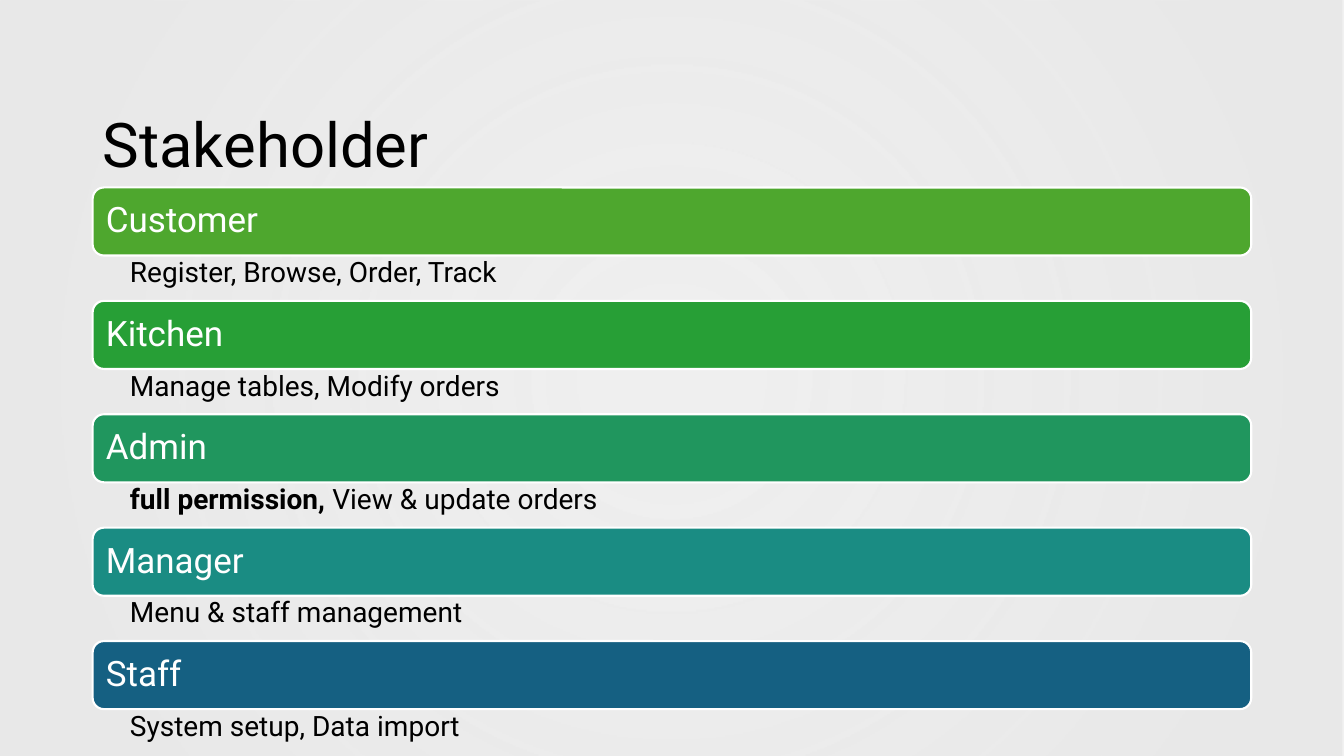
from lxml.etree import SubElement
from pptx import Presentation
from pptx.dml.color import RGBColor
from pptx.enum.shapes import MSO_SHAPE
from pptx.enum.text import MSO_ANCHOR, MSO_AUTO_SIZE, PP_ALIGN
from pptx.oxml.ns import qn
from pptx.util import Inches, Pt

WIDE, HIGH = Inches(13.33), Inches(7.5)
COL = WIDE / 29
FONT = "Roboto"
ROLES = [
    ("Customer", "4EA72E", [("Register, Browse, Order, Track", False)]),
    ("Kitchen", "279F36", [("Manage tables, Modify orders", False)]),
    ("Admin", "20965E", [("full permission, ", True),
                         ("View & update orders", False)]),
    ("Manager", "1A8C83", [("Menu & staff management", False)]),
    ("Staff", "156082", [("System setup, Data import", False)]),
]


def tint(target, code):
    target.rgb = RGBColor.from_string(code)


def paint(fill, code):
    fill.solid()
    tint(fill.fore_color, code)


def inset(frame, left, top, right, low):
    frame.margin_left, frame.margin_top = Inches(left), Inches(top)
    frame.margin_right, frame.margin_bottom = Inches(right), Inches(low)


def style(para, size, code):
    para.alignment = PP_ALIGN.LEFT
    para.line_spacing = 0.9
    para.font.name = FONT
    para.font.size = Pt(size)
    tint(para.font.color, code)


def add_back(slide, box):
    shape = slide.shapes.add_shape(MSO_SHAPE.RECTANGLE, *box)
    shape.shadow.inherit = False
    shape.line.fill.background()
    shape.fill.gradient()
    grad = shape._element.spPr.find(qn("a:gradFill"))
    for child in list(grad):
        grad.remove(child)
    stops = SubElement(grad, qn("a:gsLst"))
    for place, alpha in [(10, 68), (85, 97)]:
        stop = SubElement(stops, qn("a:gs"), pos=str(place * 1000))
        color = SubElement(stop, qn("a:srgbClr"), val="E8E8E8")
        SubElement(color, qn("a:alpha"), val=str(alpha * 1000))
    route = SubElement(grad, qn("a:path"))
    route.set("path", "circle")
    SubElement(route, qn("a:fillToRect"),
               l="50000", t="50000", r="50000", b="50000")


def add_title(slide, box, text):
    title = slide.shapes.title
    title.left, title.top, title.width, title.height = map(int, box)
    frame = title.text_frame
    frame.text = text
    frame.auto_size = MSO_AUTO_SIZE.NONE
    frame.vertical_anchor = MSO_ANCHOR.MIDDLE
    style(frame.paragraphs[0], 44, "000000")


def add_bar(group, box, name, code):
    bar = group.shapes.add_shape(MSO_SHAPE.ROUNDED_RECTANGLE, *map(int, box))
    bar.shadow.inherit = False
    paint(bar.fill, code)
    paint(bar.line.fill, "FFFFFF")
    bar.line.width = Pt(1.5)
    frame = bar.text_frame
    frame.text = name
    frame.vertical_anchor = MSO_ANCHOR.MIDDLE
    inset(frame, 0.1, 0.1, 0.1, 0.1)
    style(frame.paragraphs[0], 25, "FFFFFF")


def add_tasks(group, box, parts):
    frame = group.shapes.add_textbox(*map(int, box)).text_frame
    frame.word_wrap = True
    inset(frame, 0.37, 0.03, 0.19, 0.03)
    para = frame.paragraphs[0]
    style(para, 20, "000000")
    for text, bold in parts:
        run = para.add_run()
        run.text = text
        run.font.bold = bold


def add_roles(slide, box):
    left, top, width, height = box
    pitch = height / len(ROLES)
    bar = pitch * 0.6
    group = slide.shapes.add_group_shape()
    for row, (name, code, parts) in enumerate(ROLES):
        y = top + row * pitch
        add_bar(group, (left, y, width, bar), name, code)
        add_tasks(group, (left, y + bar, width, pitch - bar), parts)


def main():
    deck = Presentation()
    deck.slide_width, deck.slide_height = WIDE, HIGH
    slide = deck.slides.add_slide(deck.slide_layouts[5])
    add_back(slide, (0, 0, WIDE, HIGH))
    title = slide.shapes.title._element
    title.getparent().append(title)
    add_title(slide, (2 * COL, HIGH * 0.144, 25 * COL, HIGH * 0.103),
              "Stakeholder")
    add_roles(slide, (2 * COL, HIGH * 0.248, 25 * COL, HIGH * 0.75))
    deck.save("out.pptx")


if __name__ == "__main__":
    main()
